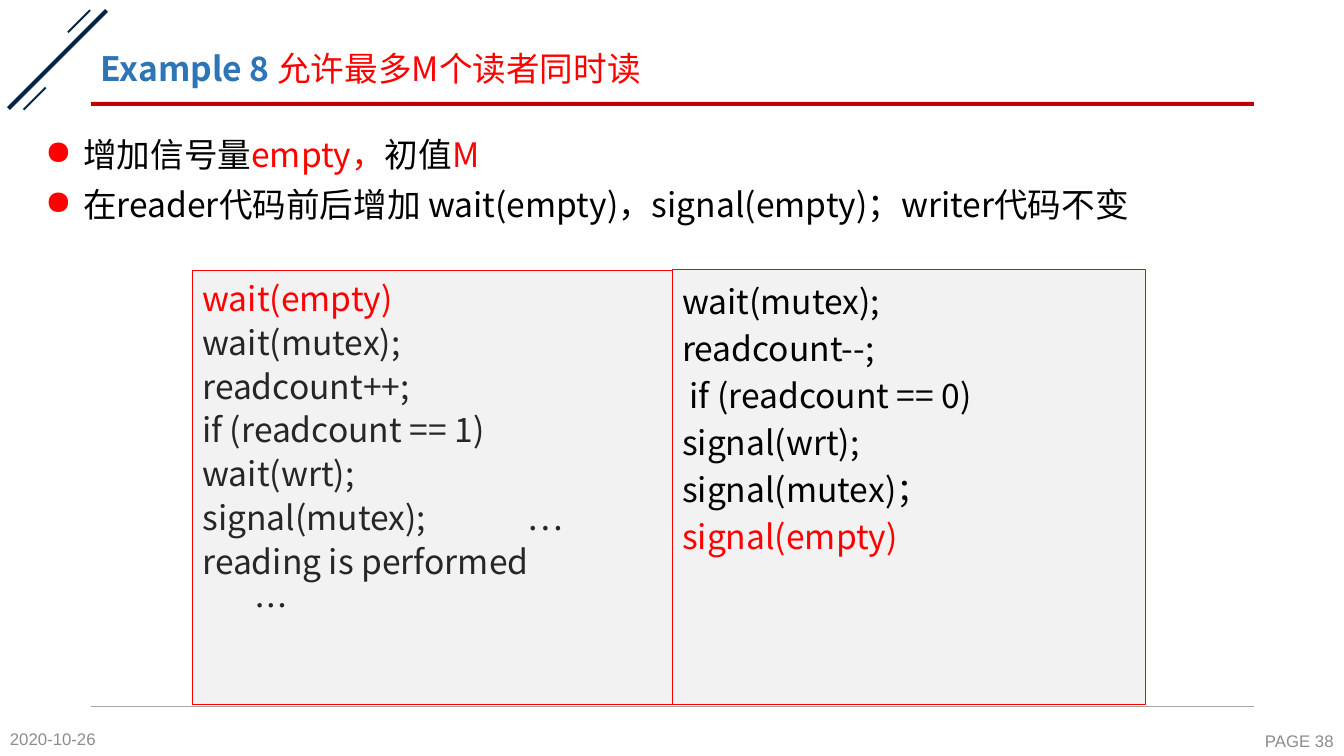
from dataclasses import dataclass

from lxml.etree import SubElement
from pptx import Presentation
from pptx.dml.color import RGBColor
from pptx.enum.shapes import MSO_CONNECTOR, MSO_SHAPE as Preset
from pptx.enum.text import MSO_ANCHOR as Anchor, PP_ALIGN as Align
from pptx.oxml.ns import qn
from pptx.slide import Slide
from pptx.text.text import TextFrame
from pptx.util import Cm, Pt

BLACK = RGBColor(0x00, 0x00, 0x00)
CHARCOAL = RGBColor(0x26, 0x26, 0x26)
RED = RGBColor(0xFF, 0x00, 0x00)
DARK_RED = RGBColor(0xC0, 0x00, 0x00)
BLUE = RGBColor(0x2E, 0x75, 0xB6)
NAVY = RGBColor(0x05, 0x25, 0x47)
GREY = RGBColor(0x8C, 0x8C, 0x8C)
RULE_GREY = RGBColor(0xA6, 0xA6, 0xA6)
PALE_GREY = RGBColor(0xF2, 0xF2, 0xF2)
CJK_FONT = "Noto Sans CJK SC"
RULE_LEFT, RULE_WIDTH = 2.29, 29.31


@dataclass(frozen=True)
class Box:
    left: float
    top: float
    width: float
    height: float

    def lengths(self) -> tuple[Cm, Cm, Cm, Cm]:
        return Cm(self.left), Cm(self.top), Cm(self.width), Cm(self.height)


@dataclass(frozen=True)
class Piece:
    text: str
    color: RGBColor
    bold: bool = False


@dataclass(frozen=True)
class Line:
    pieces: tuple[Piece, ...]
    spacing: float
    before: float = 0
    align: Align = Align.LEFT
    size: int = 24
    font: str = CJK_FONT
    bulleted: bool = False
    tab: float = 0


@dataclass(frozen=True)
class Bar:
    box: Box
    color: RGBColor
    rotation: int = 0


@dataclass(frozen=True)
class CodePanel:
    box: Box
    code: tuple[Piece, ...]
    spacing: float


BARS = (
    Bar(Box(-0.3, 1.45, 3.5, 0.1), NAVY, 315),
    Bar(Box(1.6, 0.51, 0.79, 0.05), NAVY, 315),
    Bar(Box(0.48, 2.46, 0.79, 0.05), NAVY, 315),
    Bar(Box(RULE_LEFT, 2.57, RULE_WIDTH, 0.1), DARK_RED),
)

TITLE = Line((Piece("Example 8 ", BLUE, True), Piece("允许最多M个读者同时读", RED)), 0.9)

POINTS = (
    (Piece("增加信号量", BLACK), Piece("empty，", RED), Piece("初值", BLACK), Piece("M", RED)),
    (Piece("在reader代码前后增加 wait(empty)，signal(empty)；writer代码不变", BLACK),),
)

ENTRY_CODE = (
    "wait(mutex);", "readcount++;", "if (readcount == 1)", "wait(wrt);",
    "signal(mutex);\t…", "reading is performed", "       …",
)
EXIT_CODE = (
    "wait(mutex);", "readcount--;", " if (readcount == 0)", "signal(wrt);", "signal(mutex)；",
)
PANELS = (
    CodePanel(Box(4.85, 6.81, 12.09, 10.95),
              (Piece("wait(empty)", RED), *(Piece(code, CHARCOAL) for code in ENTRY_CODE)), 0.92),
    CodePanel(Box(16.94, 6.78, 11.94, 10.97),
              (*(Piece(code, BLACK) for code in EXIT_CODE), Piece("signal(empty)", RED)), 1.0),
)


def write_lines(frame: TextFrame, lines: list[Line], anchor: Anchor, top_inset: float = 0.13) -> None:
    frame.word_wrap = True
    frame.vertical_anchor = anchor
    frame.margin_top = Cm(top_inset)
    for index, line in enumerate(lines):
        paragraph = frame.add_paragraph() if index else frame.paragraphs[0]
        paragraph.alignment = line.align
        paragraph.line_spacing = line.spacing
        if index:
            paragraph.space_before = Pt(line.before)
        properties = paragraph._p.get_or_add_pPr()
        if line.bulleted:
            properties.set("marL", str(Cm(0.96)))
            properties.set("indent", str(Cm(-0.96)))
            bullet_color = SubElement(properties, qn("a:buClr"))
            SubElement(bullet_color, qn("a:srgbClr"), val=str(RED))
            SubElement(properties, qn("a:buChar"), char="●")
        if line.tab:
            tabs = SubElement(properties, qn("a:tabLst"))
            SubElement(tabs, qn("a:tab"), pos=str(Cm(line.tab)), algn="l")
        paragraph.font.size = Pt(line.size)
        paragraph.font.name = line.font
        uniform = len(line.pieces) == 1
        for piece in line.pieces:
            run = paragraph.add_run()
            run.text = piece.text
            font = paragraph.font if uniform else run.font
            font.color.rgb = piece.color
            font.bold = piece.bold
        for latin in list(paragraph._p.iter(qn("a:latin"))):
            east_asian = SubElement(latin.getparent(), qn("a:ea"), typeface=line.font)
            latin.addnext(east_asian)


def add_text(slide: Slide, box: Box, lines: list[Line], anchor: Anchor = Anchor.MIDDLE,
             top_inset: float = 0.13) -> None:
    write_lines(slide.shapes.add_textbox(*box.lengths()).text_frame, lines, anchor, top_inset)


def add_bar(slide: Slide, bar: Bar) -> None:
    strip = slide.shapes.add_shape(Preset.RECTANGLE, *bar.box.lengths())
    strip.shadow.inherit = False
    strip.fill.solid()
    strip.fill.fore_color.rgb = bar.color
    strip.line.fill.background()
    strip.rotation = bar.rotation


def add_footer_rule(slide: Slide) -> None:
    height = Cm(17.81)
    rule = slide.shapes.add_connector(
        MSO_CONNECTOR.STRAIGHT, Cm(RULE_LEFT), height, Cm(RULE_LEFT + RULE_WIDTH), height)
    rule.line.color.rgb = RULE_GREY
    rule.line.width = Pt(0.5)
    SubElement(rule._element.spPr, qn("a:effectLst"))


def add_code_panel(slide: Slide, panel: CodePanel) -> None:
    frame = slide.shapes.add_shape(Preset.RECTANGLE, *panel.box.lengths())
    frame.shadow.inherit = False
    frame.fill.solid()
    frame.fill.fore_color.rgb = PALE_GREY
    frame.line.color.rgb = RED
    frame.line.width = Pt(0.75)
    lines = [Line((piece,), panel.spacing, 4.8, Align.JUSTIFY, tab=8.2 if "\t" in piece.text else 0)
             for piece in panel.code]
    write_lines(frame.text_frame, lines, Anchor.TOP, 0.29)


def main() -> None:
    deck = Presentation()
    deck.slide_width, deck.slide_height = Cm(33.87), Cm(19.05)
    slide = deck.slides.add_slide(deck.slide_layouts[6])
    for bar in BARS:
        add_bar(slide, bar)
    add_footer_rule(slide)
    add_text(slide, Box(RULE_LEFT, 1.02, RULE_WIDTH, 1.52), [TITLE])
    footers = (
        (Box(0, 18.19, 3, 0.86), "2020-10-26", Align.LEFT),
        (Box(30.2, 18.24, 3.66, 0.86), "PAGE 38", Align.RIGHT),
    )
    for box, text, align in footers:
        add_text(slide, box, [Line((Piece(text, GREY),), 1.0, align=align, size=12, font="Arial")])
    points = [Line(pieces, 1.03, 6, bulleted=True) for pieces in POINTS]
    add_text(slide, Box(0.89, 3.1, 32.13, 3.5), points, Anchor.TOP, 0.25)
    for panel in PANELS:
        add_code_panel(slide, panel)
    deck.save("out.pptx")


if __name__ == "__main__":
    main()
